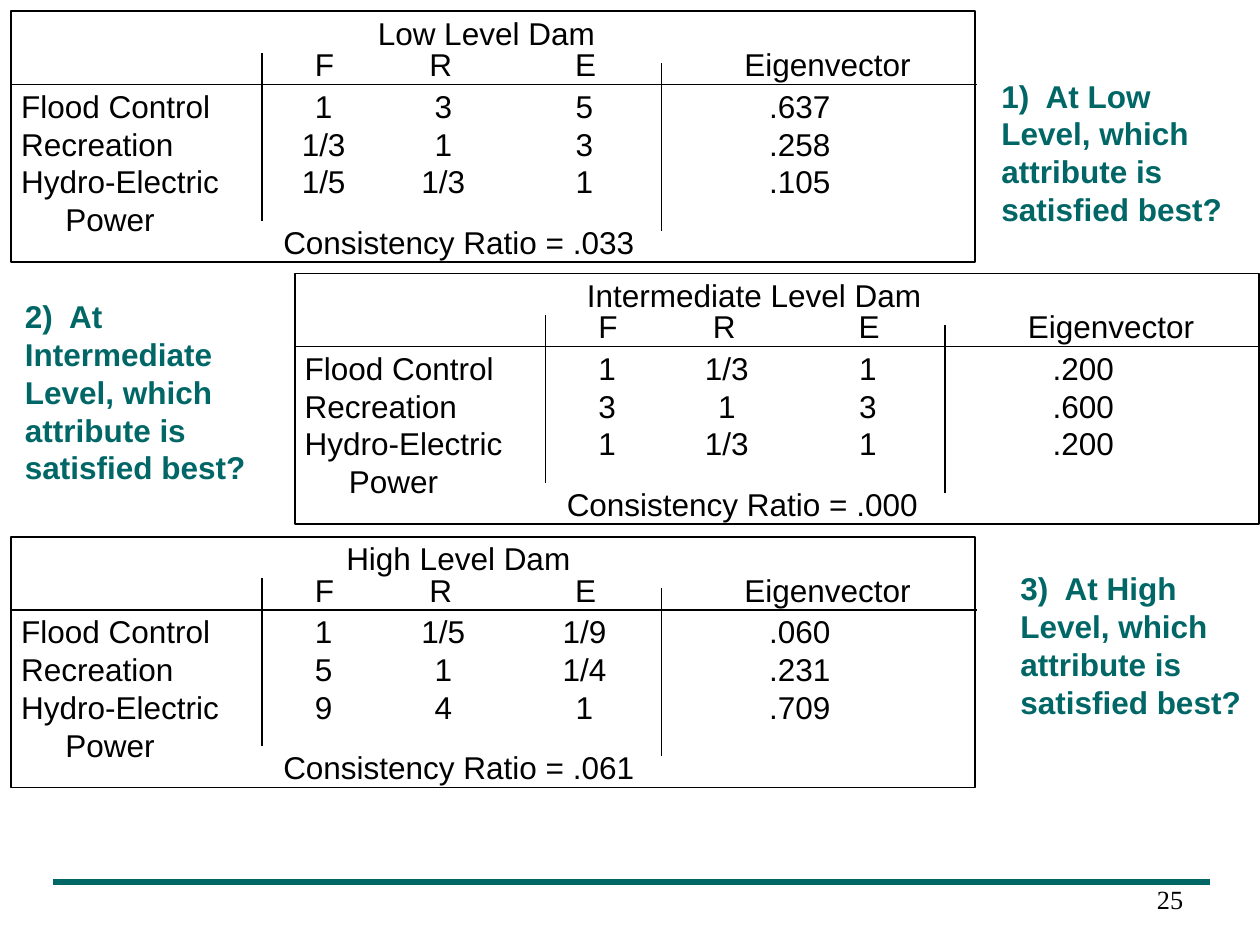
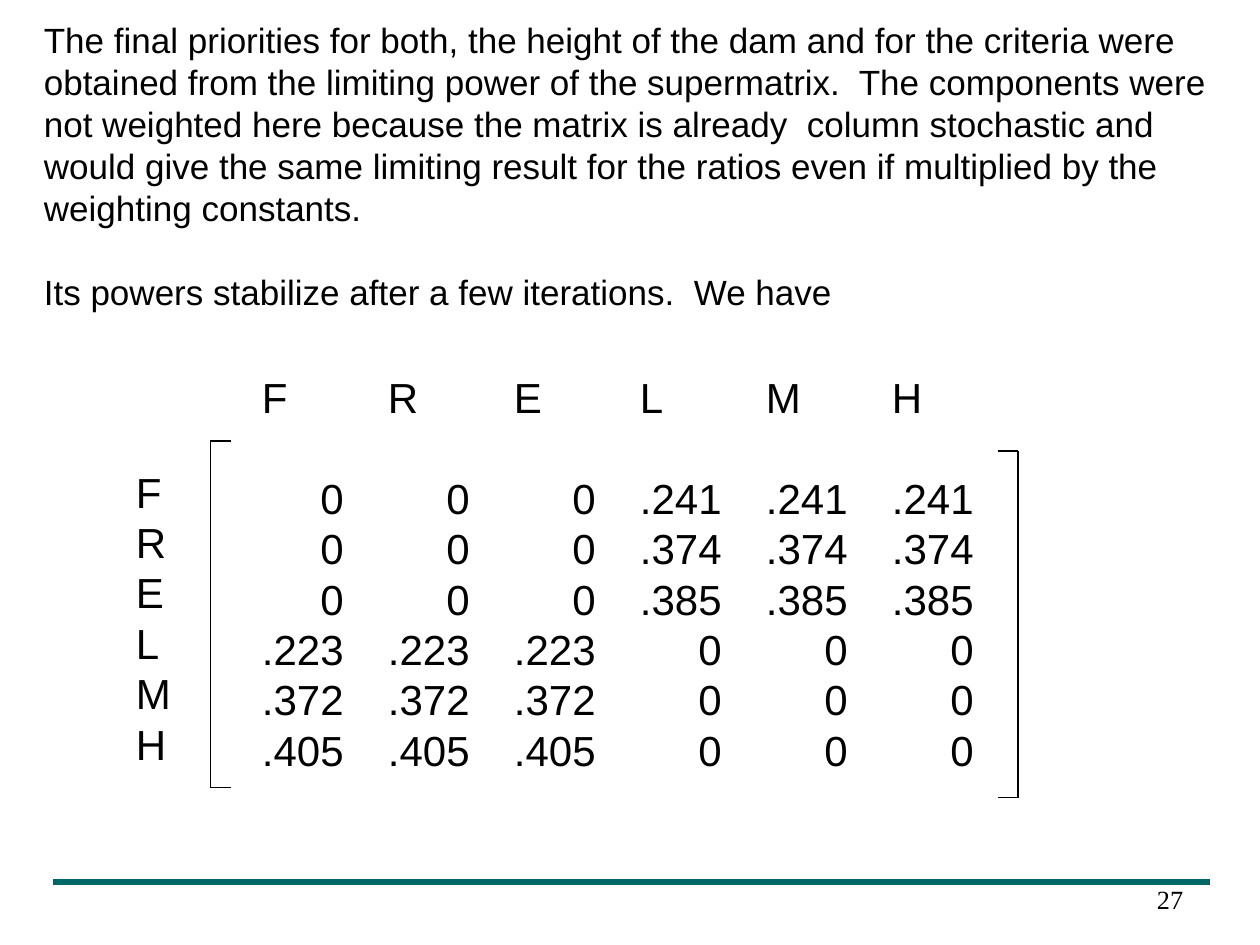
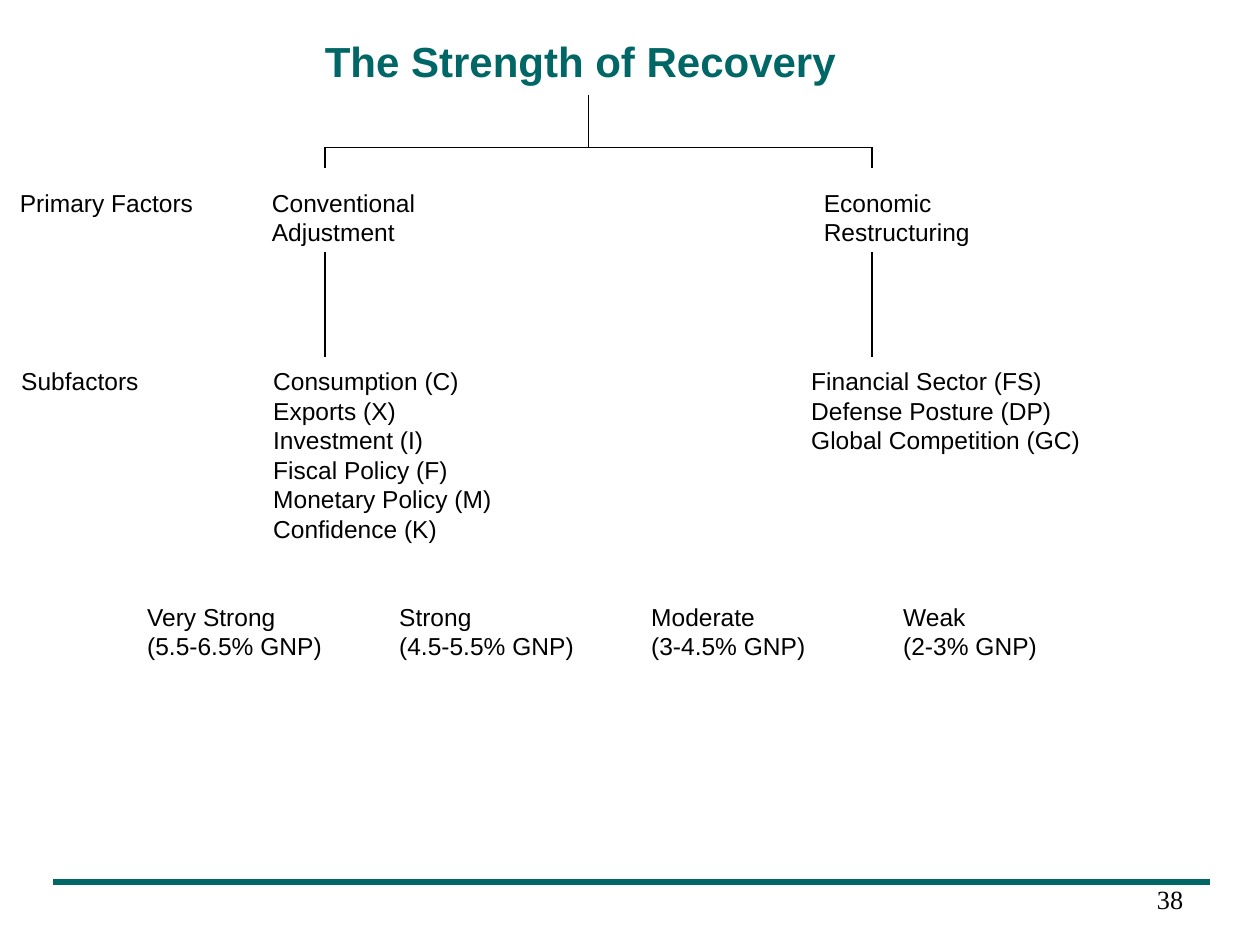
from lxml.etree import SubElement
from pptx import Presentation
from pptx.dml.color import RGBColor
from pptx.enum.shapes import MSO_CONNECTOR, MSO_SHAPE
from pptx.enum.text import MSO_ANCHOR, PP_ALIGN
from pptx.oxml.ns import qn
from pptx.util import Inches, Pt

COLORS = {"ink": "000000", "accent": "006666"}
BODY_FONT = "Arial"
NUMBER_FONT = "Times New Roman"
LINE_HEIGHT = 1.2

PANEL_SIZE = (7.65, 1.99)
PANELS = [
    # left, top, title, title offset, rows, consistency ratio
    (0.09, 0.09, "Low Level Dam", 2.81,
     [("Flood Control", "1", "3", "5", ".637"),
      ("Recreation", "1/3", "1", "3", ".258"),
      ("Hydro-Electric", "1/5", "1/3", "1", ".105")], ".033"),
    (2.34, 2.17, "Intermediate Level Dam", 2.22,
     [("Flood Control", "1", "1/3", "1", ".200"),
      ("Recreation", "3", "1", "3", ".600"),
      ("Hydro-Electric", "1", "1/3", "1", ".200")], ".000"),
    (0.09, 4.26, "High Level Dam", 2.56,
     [("Flood Control", "1", "1/5", "1/9", ".060"),
      ("Recreation", "5", "1", "1/4", ".231"),
      ("Hydro-Electric", "9", "4", "1", ".709")], ".061"),
]
QUESTIONS = [
    ((7.85, 0.56, 2.07, 1.3), "1)  At Low Level, which attribute is satisfied best?"),
    ((0.1, 2.31, 2.07, 1.6), "2)  At Intermediate Level, which attribute is satisfied best?"),
    ((8, 4.47, 2, 1.3), "3)  At High Level, which attribute is satisfied best?"),
]

ELEMENTS = "FRELMH"
CRITERIA_PRIORITIES = [".241", ".374", ".385"]
HEIGHT_PRIORITIES = [".223", ".372", ".405"]

SUBFACTORS = [
    ("Subfactors", "Consumption (C)", "Financial Sector (FS)"),
    ("", "Exports (X)", "Defense Posture (DP)"),
    ("", "Investment (I)", "Global Competition (GC)"),
    ("", "Fiscal Policy (F)"),
    ("", "Monetary Policy (M)"),
    ("", "Confidence (K)"),
]
OUTCOMES = [
    ("", "Very Strong", "Strong", "Moderate", "Weak"),
    ("", "(5.5-6.5% GNP)", "(4.5-5.5% GNP)", "(3-4.5% GNP)", "(2-3% GNP)"),
]


def rgb(name):
    return RGBColor.from_string(COLORS[name])


def add_frame(slide, left, top, width, height):
    frame = slide.shapes.add_textbox(
        Inches(left), Inches(top), Inches(width), Inches(height)).text_frame
    frame.word_wrap = True
    return frame


def write(frame, cells, size, tabs=(), tab_align="l", color="ink", bold=False,
          font=BODY_FONT):
    """Add one paragraph of tab-separated cells, reusing the empty first one."""
    first = frame.paragraphs[0]
    paragraph = frame.add_paragraph() if first.runs else first
    if tabs:
        stops = SubElement(paragraph._p.get_or_add_pPr(), qn("a:tabLst"))
        for position in tabs:
            SubElement(stops, qn("a:tab"), pos=str(Inches(position)), algn=tab_align)
    paragraph.line_spacing = Pt(size * LINE_HEIGHT)
    run = paragraph.add_run()
    run.text = "\t".join(cells)
    run.font.name = font
    run.font.size = Pt(size)
    run.font.bold = bold
    run.font.color.rgb = rgb(color)
    return paragraph


def add_line(slide, x1, y1, x2, y2, color="ink", weight=1):
    line = slide.shapes.add_connector(
        MSO_CONNECTOR.STRAIGHT, Inches(x1), Inches(y1), Inches(x2), Inches(y2))
    line.line.color.rgb = rgb(color)
    line.line.width = Pt(weight)
    SubElement(line._element.spPr, qn("a:effectLst"))


def add_slide(prs, number):
    """Add a blank slide with the footer rule and its number."""
    slide = prs.slides.add_slide(prs.slide_layouts[6])
    add_line(slide, 0.42, 7, 9.6, 7, "accent", 4)
    footer = add_frame(slide, 7.19, 6.52, 2.31, 0.98)
    footer.vertical_anchor = MSO_ANCHOR.MIDDLE
    footer.margin_top = Inches(0.3)
    footer.margin_right = Inches(0.11)
    write(footer, [number], 15, font=NUMBER_FONT).alignment = PP_ALIGN.RIGHT
    return slide


def add_panel(slide, left, top, title, title_offset, rows, ratio):
    """Draw one comparison matrix inside its border."""
    width, height = PANEL_SIZE
    border = slide.shapes.add_shape(
        MSO_SHAPE.RECTANGLE, Inches(left), Inches(top), Inches(width), Inches(height))
    border.shadow.inherit = False
    border.fill.background()
    border.line.color.rgb = rgb("ink")
    border.line.width = Pt(1)

    add_line(slide, left - 0.01, top + 0.58, left + width + 0.01, top + 0.58)
    for x, y in ((1.99, 0.33), (5.16, 0.41)):
        add_line(slide, left + x, top + y, left + x, top + y + 1.33)

    write(add_frame(slide, left + title_offset, top - 0.03, 3, 0.4), [title], 18)
    header = add_frame(slide, left + 2.31, top + 0.22, 5.1, 0.4)
    write(header, ["F", "R", "E", "Eigenvector"], 18, (1, 2.15, 4.07), "ctr")
    body = add_frame(slide, left - 0.02, top + 0.55, 6.85, 1.3)
    for row in rows:
        write(body, row, 18, (2.4, 3.35, 4.47, 6.18), "ctr")
    continuation = write(body, ["Power"], 18)
    continuation._p.get_or_add_pPr().set("marL", str(Inches(0.35)))
    write(add_frame(slide, left + 2.06, top + 1.63, 3.1, 0.4),
          [f"Consistency Ratio = {ratio}"], 18)


def build_dam_levels(prs):
    slide = add_slide(prs, "25")
    for panel in PANELS:
        add_panel(slide, *panel)
    for box, question in QUESTIONS:
        write(add_frame(slide, *box), [question], 18, color="accent", bold=True)


def add_bracket(slide, spine, tip, top, height):
    bottom = top + height
    add_line(slide, spine, top, spine, bottom)
    for y in (top, bottom):
        add_line(slide, spine, y, tip, y)


def add_supermatrix(slide, left, top):
    matrix = add_frame(slide, left, top, 6, 3.3)
    header = write(matrix, ELEMENTS, 24, range(1, len(ELEMENTS)))
    header.space_after = Pt(24 * LINE_HEIGHT)
    zeros = ["0"] * 3
    rows = [zeros + [value] * 3 for value in CRITERIA_PRIORITIES]
    rows += [[value] * 3 + zeros for value in HEIGHT_PRIORITIES]
    right_edges = [column + 0.65 for column in range(len(ELEMENTS))]
    for row in rows:
        write(matrix, [""] + row, 24, right_edges, "r")

    row_labels = add_frame(slide, left - 1, top + 0.75, 0.55, 2.5)
    for element in ELEMENTS:
        write(row_labels, [element], 24)
    add_bracket(slide, left - 0.31, left - 0.15, top + 0.6, 2.75)
    add_bracket(slide, left + 6.1, left + 5.94, top + 0.68, 2.75)


def build_limiting_priorities(prs):
    slide = add_slide(prs, "27")
    explanation = add_frame(slide, 0.25, 0.1, 9.5, 2.44)
    write(explanation, [
        "The final priorities for both, the height of the dam and for the criteria "
        "were obtained from the limiting power of the supermatrix.  The components "
        "were not weighted here because the matrix is already  column stochastic and "
        "would give the same limiting result for the ratios even if multiplied by "
        "the weighting constants."], 20)
    result = write(explanation, ["Its powers stabilize after a few iterations.  We have"], 20)
    result.space_before = Pt(20 * LINE_HEIGHT)
    add_supermatrix(slide, 1.98, 2.9)


def add_branches(slide, root, branches, top):
    """Draw the tree lines from the title down to the subfactors."""
    fork = top + 0.42
    add_line(slide, root, top, root, fork)
    add_line(slide, branches[0], fork, branches[-1], fork)
    for x in branches:
        add_line(slide, x, fork, x, fork + 0.16)
        add_line(slide, x, top + 1.25, x, top + 2.08)


def build_recovery_hierarchy(prs):
    slide = add_slide(prs, "38")
    write(add_frame(slide, 2.48, 0.23, 4.4, 0.5), ["The Strength of Recovery"], 24,
          color="accent", bold=True)
    add_branches(slide, 4.67, (2.58, 6.92), 0.75)

    primary = add_frame(slide, 0.06, 1.44, 7.9, 0.57)
    for row in (("Primary Factors", "Conventional", "Economic"),
                ("", "Adjustment", "Restructuring")):
        write(primary, row, 14, (2, 6.38))

    details = add_frame(slide, 0.07, 2.86, 9.2, 2.44)
    for row in SUBFACTORS:
        write(details, row, 14, (2, 6.27))
    levels, ranges = [write(details, row, 14, (1, 3, 5, 7)) for row in OUTCOMES]
    levels.space_before = Pt(2 * 14 * LINE_HEIGHT)


def main():
    prs = Presentation()
    prs.slide_width, prs.slide_height = Inches(10), Inches(7.5)
    build_dam_levels(prs)
    build_limiting_priorities(prs)
    build_recovery_hierarchy(prs)
    prs.save("out.pptx")


if __name__ == "__main__":
    main()
